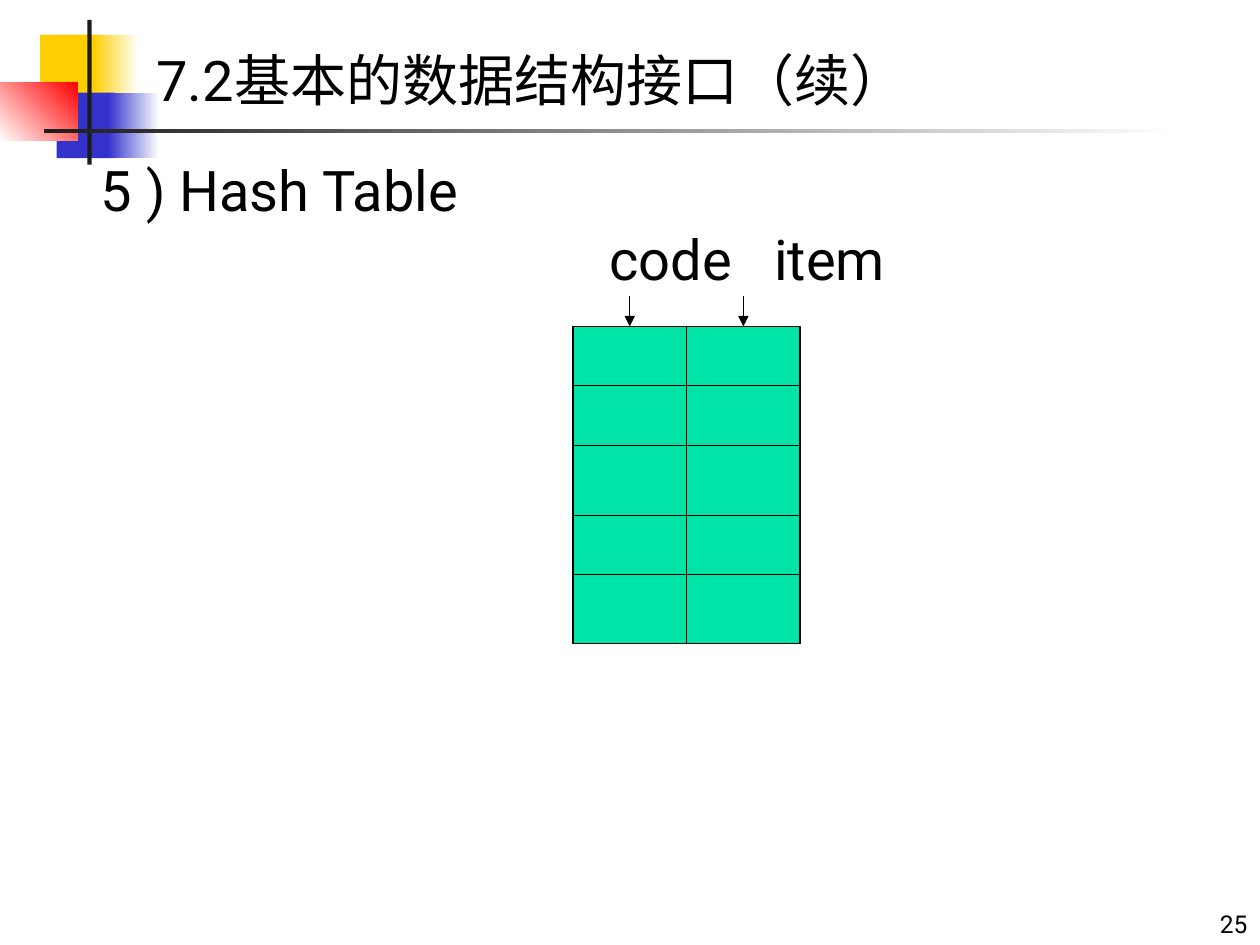
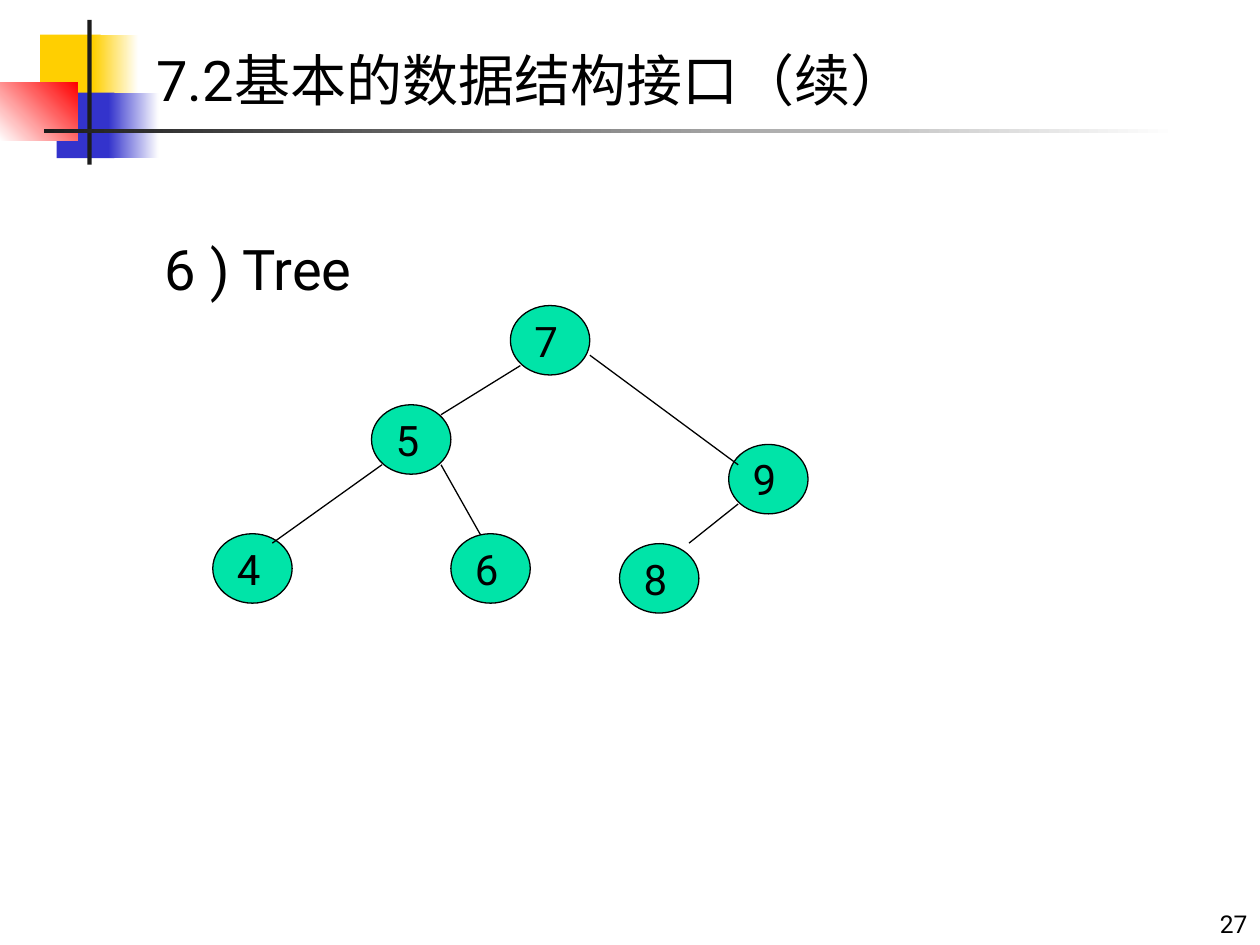
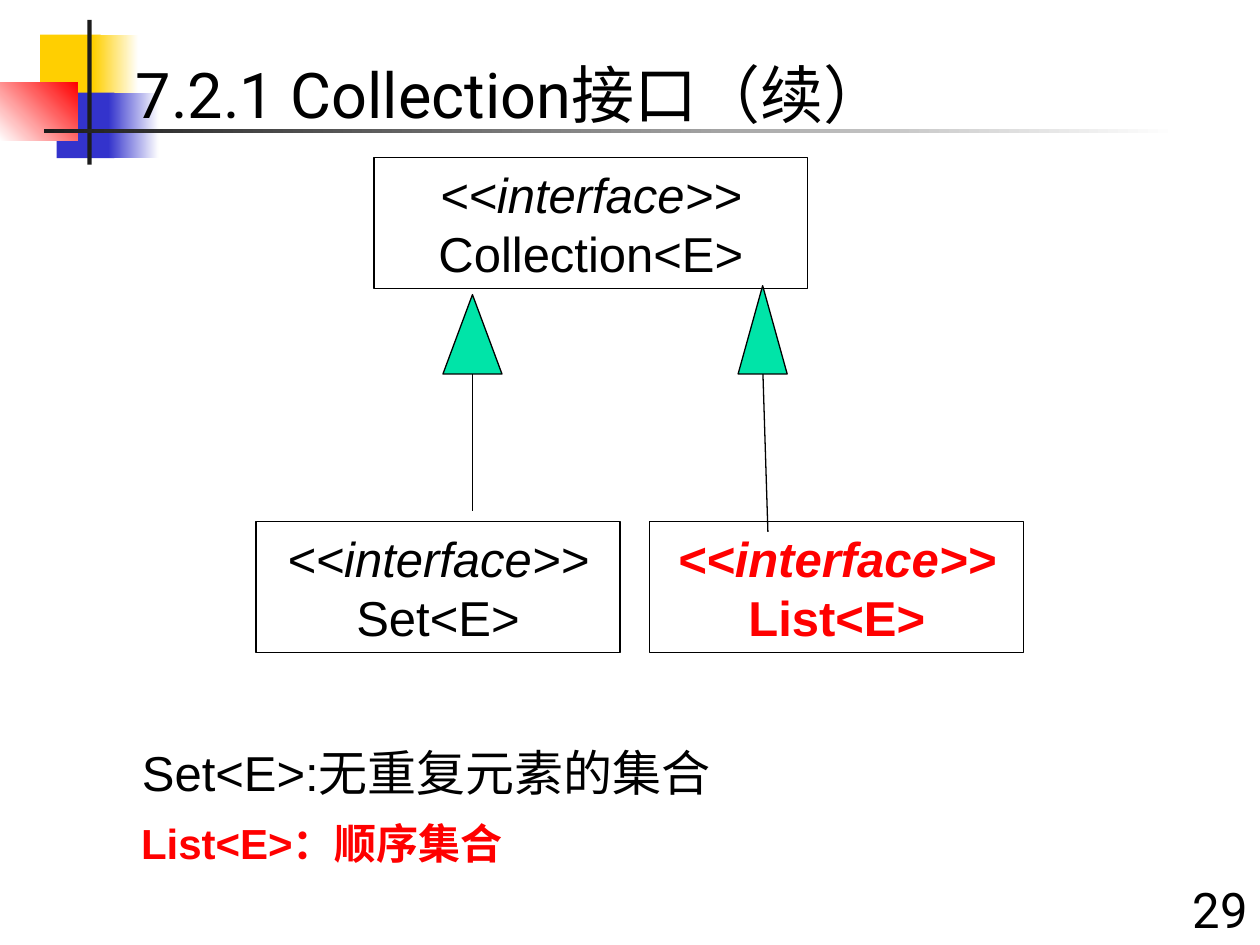
from lxml import etree
from pptx import Presentation
from pptx.dml.color import RGBColor
from pptx.enum.shapes import MSO_CONNECTOR, MSO_SHAPE
from pptx.enum.text import MSO_ANCHOR, MSO_AUTO_SIZE, PP_ALIGN
from pptx.oxml.ns import qn
from pptx.util import Cm, Pt

RECT, OVAL, TRIANGLE = MSO_SHAPE.RECTANGLE, MSO_SHAPE.OVAL, MSO_SHAPE.ISOSCELES_TRIANGLE
STRAIGHT = MSO_CONNECTOR.STRAIGHT
TOP, MIDDLE, BOTTOM = MSO_ANCHOR.TOP, MSO_ANCHOR.MIDDLE, MSO_ANCHOR.BOTTOM
LEFT, CENTER, RIGHT = PP_ALIGN.LEFT, PP_ALIGN.CENTER, PP_ALIGN.RIGHT
GROW = MSO_AUTO_SIZE.SHAPE_TO_FIT_TEXT

BLACK = RGBColor(0x00, 0x00, 0x00)
WHITE = RGBColor(0xFF, 0xFF, 0xFF)
RED = RGBColor(0xFF, 0x00, 0x00)
GREEN = RGBColor(0x00, 0xE4, 0xA8)
YELLOW = RGBColor(0xFF, 0xCF, 0x01)
BLUE = RGBColor(0x33, 0x33, 0xCC)
DARK = RGBColor(0x1C, 0x1C, 0x1C)

SANS, ARIAL = "Roboto", "Arial"
STRUCTURES_TITLE = "7.2基本的数据结构接口（续）"
NODE_W, NODE_H = 1.6, 1.4
HASH_LEFT, HASH_TOP, COLUMN_W, COLUMN_H = 11.55, 6.58, 2.29, 6.4
DIVIDERS = (7.77, 8.98, 10.39, 11.58)
NODES = (("7", 10.29, 6.16), ("5", 7.49, 8.16), ("9", 14.69, 8.96),
         ("6", 9.09, 10.76), ("4", 4.29, 10.76), ("8", 12.49, 10.96))
EDGES = ((10.49, 7.37, 8.89, 8.36), (7.7, 9.37, 5.49, 10.95),
         (8.89, 9.37, 9.68, 10.77), (11.89, 7.16, 14.88, 9.37),
         (14.88, 10.16, 13.89, 10.95))
DECORATION = (
    ((0.81, 0.7, 1.22, 1.32), (YELLOW,), 0),
    ((1.88, 0.7, 0.91, 1.32), (YELLOW, WHITE), 0),
    ((1.14, 1.87, 1.17, 1.32), (BLUE,), 0),
    ((2.18, 1.87, 1.02, 1.32), (BLUE, WHITE), 0),
    ((0, 1.66, 1.56, 1.18), (WHITE, RED), 45),
    ((1.76, 0.4, 0.09, 2.92), (DARK,), 0),
    ((0.89, 2.6, 22.86, 0.08), (DARK, WHITE), 0),
)


def add_run(p, text, size, font=SANS, color=BLACK, bold=False, italic=False):
    """Append one formatted run to a paragraph."""
    r = p.add_run()
    r.text = text
    r.font.name, r.font.size = font, Pt(size)
    r.font.bold, r.font.italic = bold, italic
    r.font.color.rgb = color


def add_text(s, box, text, size, align=LEFT, anchor=TOP, wrap=False, **style):
    """Add a one-paragraph text box and return its paragraph."""
    tf = s.shapes.add_textbox(*map(Cm, box)).text_frame
    tf.word_wrap = wrap
    if not wrap:
        tf.auto_size = GROW
    tf.vertical_anchor = anchor
    p = tf.paragraphs[0]
    p.alignment = align
    add_run(p, text, size, **style)
    return p


def add_tab_stop(p, position):
    """Give a paragraph one left tab stop."""
    tabs = etree.SubElement(p._p.get_or_add_pPr(), qn("a:tabLst"))
    etree.SubElement(tabs, qn("a:tab"), pos=str(Cm(position)), algn="l")


def add_figure(s, kind, box, fill):
    """Add a filled preset shape with a thin black outline."""
    sp = s.shapes.add_shape(kind, *map(Cm, box))
    sp.shadow.inherit = False
    sp.fill.solid()
    sp.fill.fore_color.rgb = fill
    sp.line.color.rgb = BLACK
    sp.line.width = Pt(0.75)
    return sp


def add_line(s, x1, y1, x2, y2, arrow=False):
    """Add a thin black line, optionally with an arrowhead at its end."""
    cn = s.shapes.add_connector(STRAIGHT, *map(Cm, (x1, y1, x2, y2)))
    cn.line.color.rgb = BLACK
    cn.line.width = Pt(0.75)
    if arrow:
        etree.SubElement(cn.line._get_or_add_ln(), qn("a:tailEnd"), type="triangle")
    etree.SubElement(cn._element.spPr, qn("a:effectLst"))


def add_band(s, box, colors, angle):
    """Add a borderless rectangle in one colour or a two-colour gradient."""
    sp = s.shapes.add_shape(RECT, *map(Cm, box))
    sp.shadow.inherit = False
    sp.line.fill.background()
    if len(colors) == 1:
        sp.fill.solid()
        sp.fill.fore_color.rgb = colors[0]
    else:
        sp.fill.gradient()
        sp.fill.gradient_angle = angle
        for stop, color in zip(sp.fill.gradient_stops, colors):
            stop.color.rgb = color


def add_node(s, label, left, top):
    """Add one tree node."""
    tf = add_figure(s, OVAL, (left, top, NODE_W, NODE_H), GREEN).text_frame
    tf.word_wrap = False
    tf.vertical_anchor = MIDDLE
    p = tf.paragraphs[0]
    p.alignment = LEFT
    add_run(p, label, 24)


def add_interface(s, box, name, color=BLACK, bold=False):
    """Add a class-diagram box for an interface."""
    tf = add_figure(s, RECT, box, WHITE).text_frame
    tf.word_wrap = True
    tf.vertical_anchor = MIDDLE
    for p, text, italic in ((tf.paragraphs[0], "<<interface>>", True),
                            (tf.add_paragraph(), name, False)):
        p.alignment = CENTER
        add_run(p, text, 28, ARIAL, color, bold, italic)


def add_base(prs, number, number_size=14):
    """Add a blank slide with the shared decoration and page number."""
    s = prs.slides.add_slide(prs.slide_layouts[6])
    for box, colors, angle in DECORATION:
        add_band(s, box, colors, angle)
    add_text(s, (20.12, 17.78, 5.28, 1.27), number, number_size, RIGHT, BOTTOM, wrap=True)
    return s


def add_structures_title(s):
    """Add the title of the data structure slides."""
    add_text(s, (2.9, 0.79, 15.93, 1.63), STRUCTURES_TITLE, 32)


def build_hash_table(prs):
    """Build the hash table slide."""
    s = add_base(prs, "25")
    add_text(s, (1.78, 3, 8.84, 1.63), "5 ) Hash Table", 32, anchor=MIDDLE)
    for column in range(2):
        left = HASH_LEFT + column * COLUMN_W
        middle = left + COLUMN_W / 2
        add_figure(s, RECT, (left, HASH_TOP, COLUMN_W, COLUMN_H), GREEN)
        for y in DIVIDERS:
            add_line(s, left, y, left + COLUMN_W, y)
        add_line(s, middle, 5.97, middle, HASH_TOP, arrow=True)
    p = add_text(s, (12.04, 4.39, 6.63, 1.63), "code\titem", 32, anchor=MIDDLE, wrap=True)
    add_tab_stop(p, 3.32)
    add_structures_title(s)


def build_tree(prs):
    """Build the tree slide."""
    s = add_base(prs, "27")
    add_text(s, (3.07, 4.6, 5.33, 1.63), "6 ) Tree", 32, anchor=MIDDLE)
    for node in NODES:
        add_node(s, *node)
    for edge in EDGES:
        add_line(s, *edge)
    add_structures_title(s)


def build_collection(prs):
    """Build the Collection interface slide."""
    s = add_base(prs, "29", 28)
    add_interface(s, (7.54, 3.18, 8.74, 2.64), "Collection<E>")
    add_interface(s, (5.16, 10.52, 7.34, 2.64), "Set<E>")
    add_interface(s, (13.1, 10.52, 7.54, 2.64), "List<E>", RED, True)
    add_figure(s, TRIANGLE, (8.93, 5.94, 1.19, 1.6), GREEN)
    add_line(s, 9.53, 7.54, 9.53, 10.31)
    add_figure(s, TRIANGLE, (14.88, 5.76, 0.99, 1.78), GREEN)
    add_line(s, 15.38, 7.54, 15.48, 10.72)
    add_text(s, (2.49, 0.99, 16.23, 1.78), "7.2.1 Collection接口（续）", 36)
    add_text(s, (2.39, 16.36, 8.2, 1.27), "List<E>：顺序集合", 24, CENTER,
             font=ARIAL, color=RED, bold=True)
    add_text(s, (2.34, 14.84, 12.5, 1.45), "Set<E>:无重复元素的集合", 28, CENTER, font=ARIAL)


def main():
    """Build and save the presentation."""
    prs = Presentation()
    prs.slide_width, prs.slide_height = Cm(25.4), Cm(19.05)
    build_hash_table(prs)
    build_tree(prs)
    build_collection(prs)
    prs.save("out.pptx")


if __name__ == "__main__":
    main()
